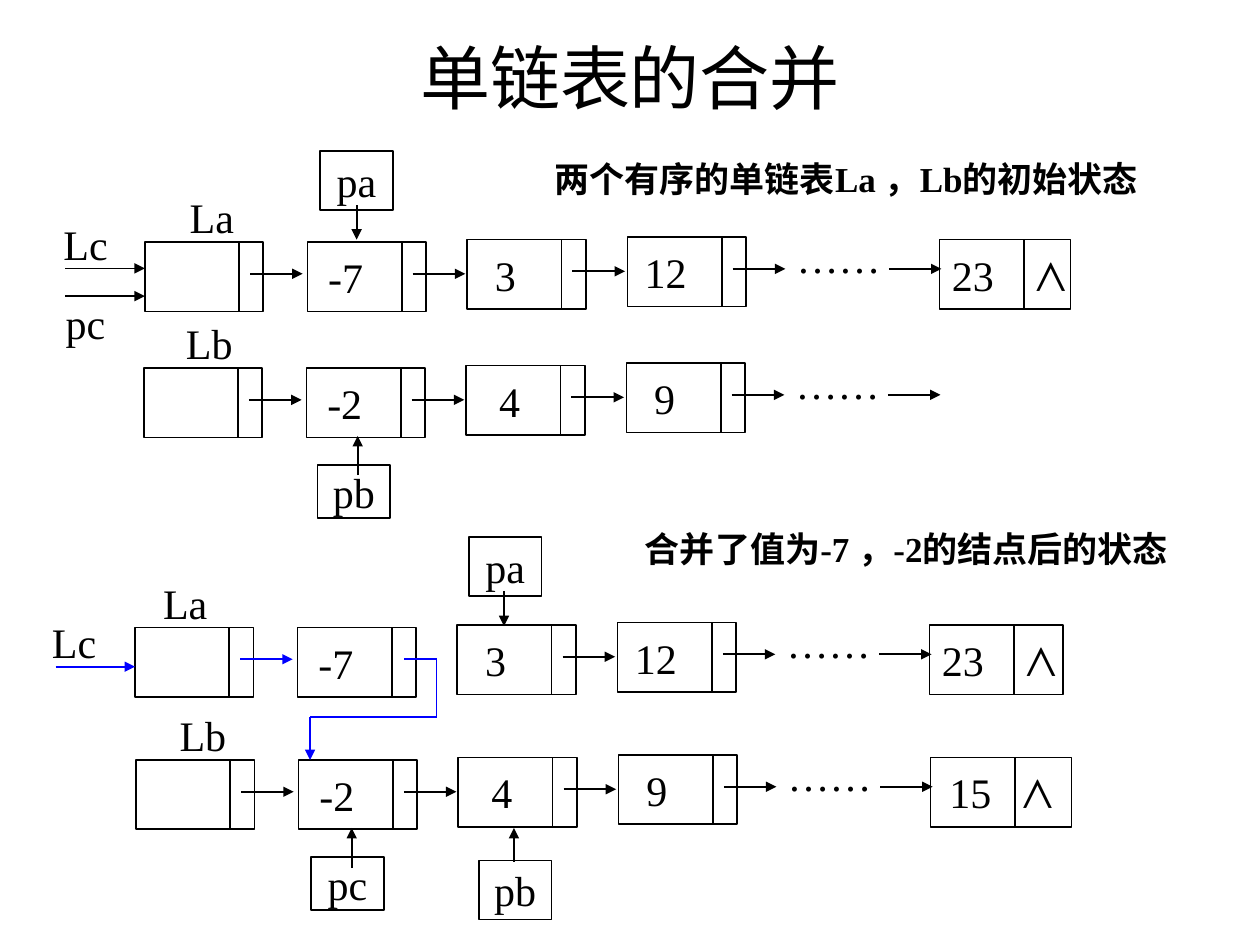
from pptx import Presentation
from pptx.dml.color import RGBColor
from pptx.enum.shapes import MSO_CONNECTOR as LINK, MSO_SHAPE as KIND
from pptx.enum.text import MSO_ANCHOR as ANCHOR, PP_ALIGN as ALIGN
from pptx.oxml.ns import qn
from pptx.util import Cm, Pt
from lxml.etree import SubElement as sub

BLACK = RGBColor(0, 0, 0)
BLUE = RGBColor(0, 0, 255)
SERIF = "Times New Roman"
HAN = "Noto Sans CJK SC"
WIDE, HIGH = 2.39, 1.4  # node size

deck = Presentation()
deck.slide_width, deck.slide_height = Cm(25.4), Cm(19.05)
slide = deck.slides.add_slide(deck.slide_layouts[6])


def box(x, y, w, h, text="", frame=True, left=0, right=0, tab=0,
        size=24, face=SERIF, bold=False):
    """A text box or framed cell; a tab stop makes the text left-aligned."""
    area = Cm(x), Cm(y), Cm(w), Cm(h)
    if frame:
        item = slide.shapes.add_shape(KIND.RECTANGLE, *area)
        item.shadow.inherit = False
        item.fill.background()
        item.line.color.rgb = BLACK
        item.line.width = Pt(1)
    else:
        item = slide.shapes.add_textbox(*area)
    if not text:
        return
    body = item.text_frame
    body.word_wrap = size != 24
    body.vertical_anchor = ANCHOR.MIDDLE
    body.margin_left, body.margin_right = Cm(left), Cm(right)
    body.margin_top = body.margin_bottom = 0
    para = body.paragraphs[0]
    para.text = text
    para.alignment = ALIGN.LEFT if tab else ALIGN.CENTER
    prop = para._p.get_or_add_pPr()
    if tab:
        stops = sub(prop, qn("a:tabLst"))
        sub(stops, qn("a:tab"), pos=str(Cm(tab)), algn="l")
    font = para.font
    font.size, font.name, font.bold = Pt(size), face, bold
    font.color.rgb = BLACK
    if bold:
        sub(prop.find(qn("a:defRPr")), qn("a:ea"), typeface=HAN)


def line(x1, y1, x2, y2, tip=True, color=BLACK):
    """A straight line, with an arrowhead at its end if tip is set."""
    item = slide.shapes.add_connector(
        LINK.STRAIGHT, Cm(x1), Cm(y1), Cm(x2), Cm(y2))
    item.line.color.rgb = color
    item.line.width = Pt(1)
    prop = item._element.spPr
    if tip:
        sub(prop.find(qn("a:ln")), qn("a:tailEnd"), type="triangle")
    sub(prop, qn("a:effectLst"))


# Title and captions
box(1.27, 0.15, 22.86, 2.77, "单链表的合并", False, size=40, face="Calibri")
box(9.25, 2.97, 15.62, 1.24, "两个有序的单链表La ，Lb的初始状态", False,
    size=20, bold=True)
box(12.04, 10.41, 12.47, 1.3, "合并了值为-7 ，-2的结点后的状态", False,
    size=20, bold=True)

# Lists: left, top, values, last cell (text, width, inset, tab), merged
rows = [
    (2.92, 4.88, ["", "-7", "3", "12"], ("23\t⋀", 2.64, 0.25, 1.69), False),
    (2.9, 7.42, ["", "-2", "4", "9"], None, False),
    (2.72, 12.65, ["", "-7", "3", "12"], ("23\t⋀", 2.69, 0.25, 1.69), True),
    (2.74, 15.32, ["", "-2", "4", "9"], ("15\t⋀", 2.84, 0.38, 1.47), False),
]
steps = [(0, 0), (3.28, 0), (6.5, -0.05), (9.73, -0.1)]
for x, y, vals, last, merged in rows:
    for val, (dx, dy) in zip(vals, steps):
        a, b = x + dx, y + dy
        box(a, b, WIDE, HIGH, val, right=0.64 if val == "4" else 0.85)
        line(a + 1.9, b, a + 1.9, b + HIGH, False)
        if not (merged and val == "-7"):
            line(a + 2.12, b + 0.64, a + 3.18, b + 0.64,
                 color=BLUE if merged and not val else BLACK)
    box(x + 13, y - 0.41, WIDE, HIGH, "……", False, right=0.42)
    line(x + 15, y + 0.54, x + 16.06, y + 0.54)
    if last:
        text, wide, inset, tab = last
        a, b = x + 16.02, y - 0.05
        box(a, b, wide, HIGH, text, left=inset, tab=tab)
        line(a + 1.7, b, a + 1.7, b + HIGH, False)

# List names
for text, x, y, w, h in [
    ("La", 3.1, 3.73, 2.34, 1.27), ("Lb", 3.05, 6.27, 2.34, 1.27),
    ("La", 2.87, 11.51, 1.73, 1.27), ("Lb", 2.92, 14.17, 2.34, 1.27),
    ("Lc", 0.99, 4.37, 1.47, 1.07), ("pc", 0.99, 5.97, 1.47, 1.07),
    ("Lc", 0.76, 12.4, 1.47, 1.07),
]:
    box(x, y, w, h, text, False)

# Pointers: text, left, top, height, then arrow x, start and end
for text, x, y, h, mid, start, end in [
    ("pa", 6.45, 3.05, 1.19, 7.19, 4.14, 4.83),
    ("pb", 6.4, 9.37, 1.07, 7.21, 9.58, 8.79),
    ("pa", 9.45, 10.82, 1.19, 10.16, 11.91, 12.62),
    ("pc", 6.27, 17.27, 1.07, 7.09, 17.5, 16.69),
    ("pb", 9.65, 17.35, 1.19, 10.36, 17.37, 16.69),
]:
    box(x, y, 1.47, h, text)
    line(mid, start, mid, end)

# Arrows into the head nodes
for x, y, color in [(1.32, 5.41, BLACK), (1.32, 5.97, BLACK),
                    (1.12, 13.44, BLUE)]:
    line(x, y, x + 1.6, y, color=color)

# Bent link from -7 to -2
bend = [(8.15, 13.28), (8.8, 13.28), (8.8, 14.46), (6.25, 14.46),
        (6.25, 15.32)]
for start, end in zip(bend, bend[1:]):
    line(*start, *end, tip=end == bend[-1], color=BLUE)

deck.save("out.pptx")
